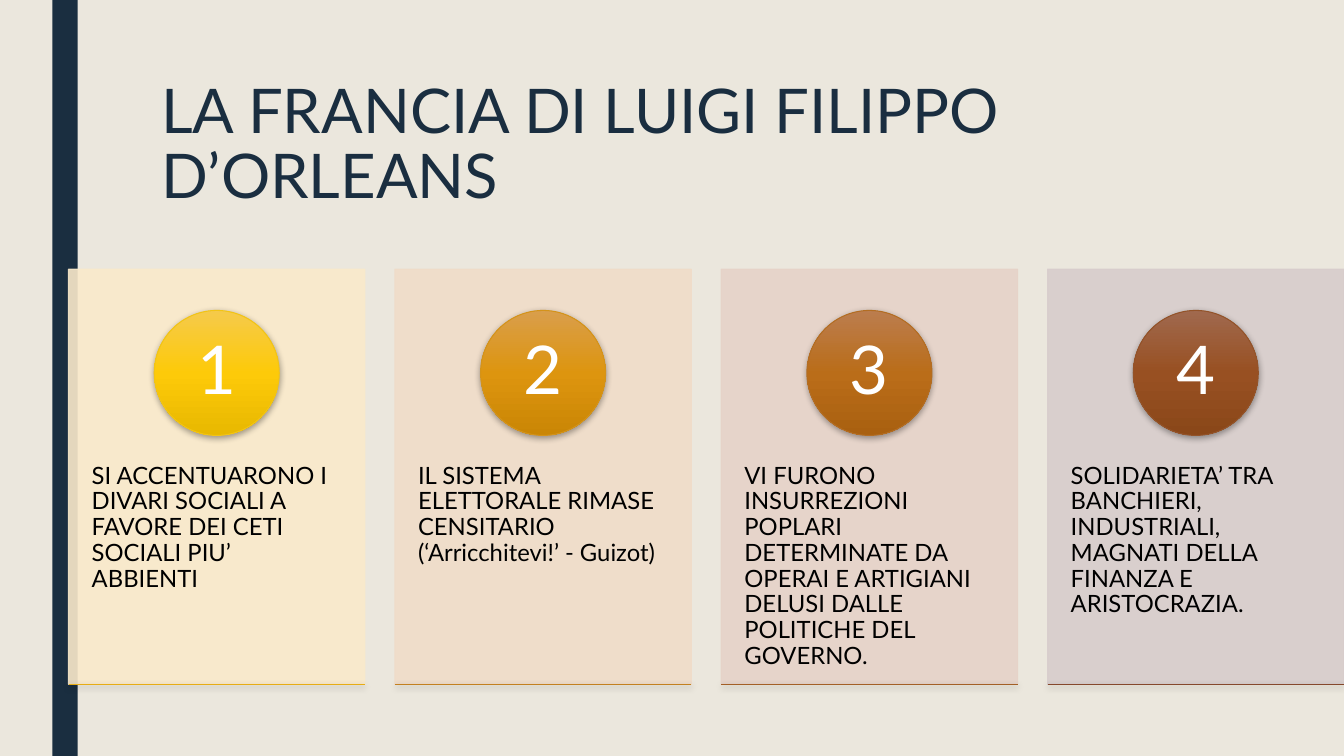
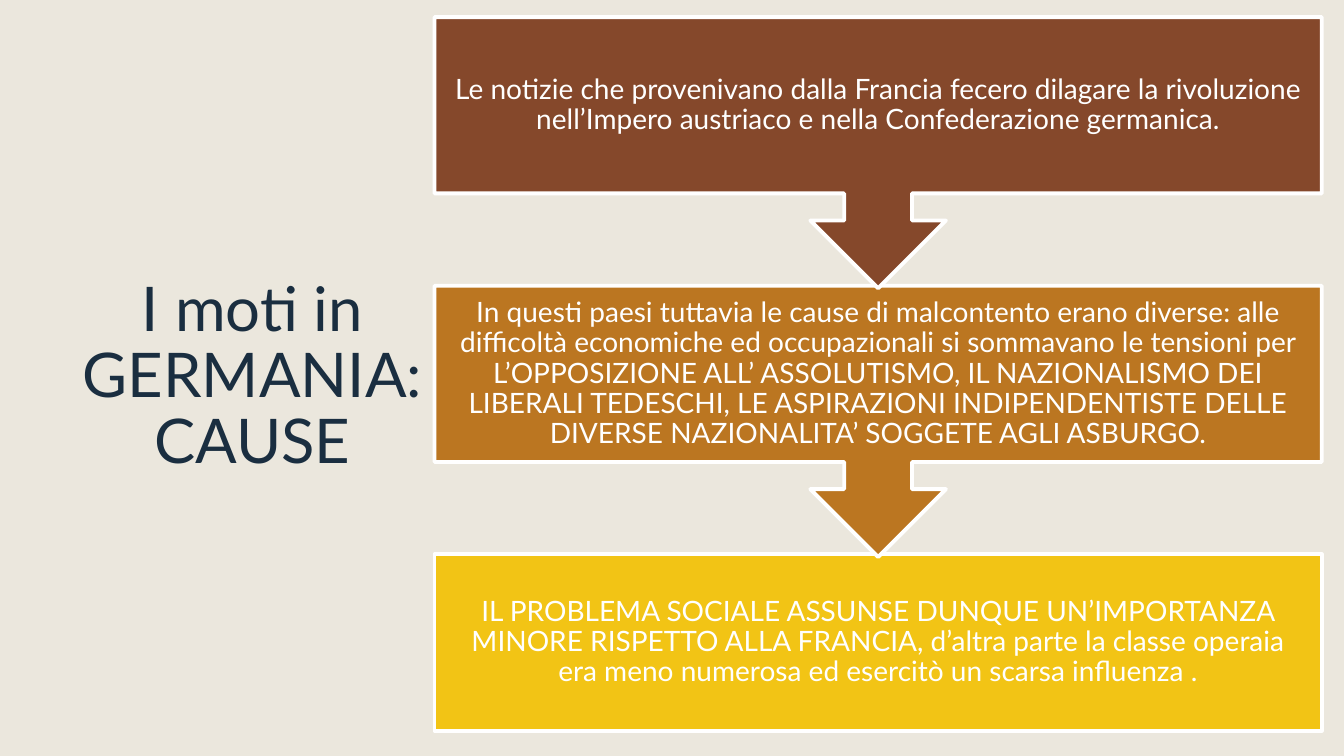
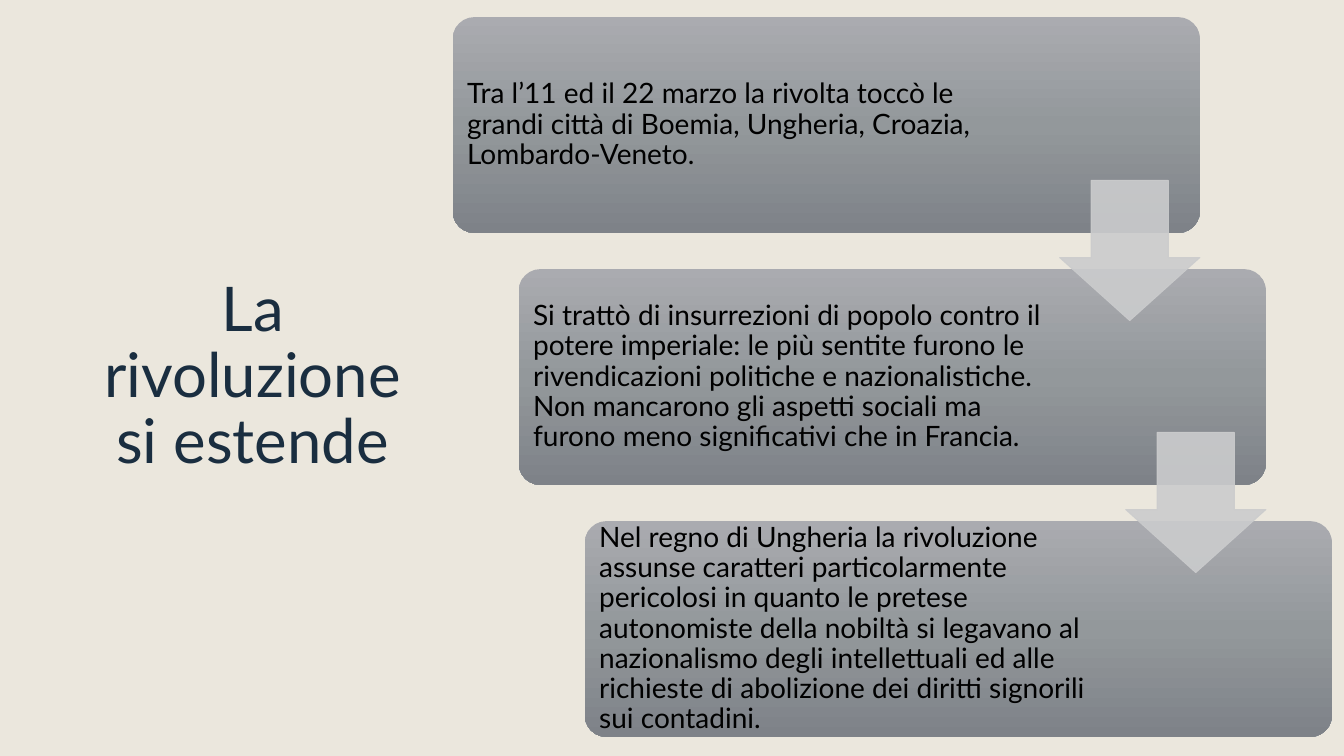
import pptx
import pptx.util
import pptx.dml.color
import pptx.enum.shapes
import pptx.enum.text
import pptx.oxml
import pptx.oxml.ns

SCALE = 9144
WIDE, HIGH = 1333, 750
FONT = "Lato"
SHAPE = pptx.enum.shapes.MSO_SHAPE
ALIGN = pptx.enum.text.PP_ALIGN
ANCHOR = pptx.enum.text.MSO_ANCHOR
HUES = {
    "paper": "EBE7DD", "navy": "1A2E40", "white": "FFFFFF", "black": "000000",
    "brown": "85482B", "ochre": "BB7621", "gold": "F2C415", "arrow": "CBCCCD",
}
STEEL = ("AAABB0", "93989B", "7E8288")
CARDS = [
    ("FAEACB", ("F5CA4B", "FDCA09", "E8B800"), "F2C415", "E7AC14",
     "SI ACCENTUARONO I DIVARI SOCIALI A FAVORE DEI CETI SOCIALI PIU’ ABBIENTI"),
    ("F0DCC8", ("D99E4B", "DD950F", "CA8605"), "D4931A", "C3801F",
     "IL SISTEMA ELETTORALE RIMASE CENSITARIO (‘Arricchitevi!’ - Guizot)"),
    ("E6D3C8", ("BB7D4E", "BA6D19", "A96010"), "B36D22", "A35F26",
     "VI FURONO INSURREZIONI POPLARI DETERMINATE DA OPERAI E ARTIGIANI DELUSI "
     "DALLE POLITICHE DEL GOVERNO."),
    ("D8CDCC", ("A0694E", "985022", "8A4719"), "935329", "85482B",
     "SOLIDARIETA’ TRA BANCHIERI, INDUSTRIALI, MAGNATI DELLA FINANZA E ARISTOCRAZIA."),
]
CAUSES = [
    ("brown", "Le notizie che provenivano dalla Francia fecero dilagare la rivoluzione "
     "nell’Impero austriaco e nella Confederazione germanica."),
    ("ochre", "In questi paesi tuttavia le cause di malcontento erano diverse: alle "
     "difficoltà economiche ed occupazionali si sommavano le tensioni per L’OPPOSIZIONE "
     "ALL’ ASSOLUTISMO, IL NAZIONALISMO DEI LIBERALI TEDESCHI, LE ASPIRAZIONI "
     "INDIPENDENTISTE DELLE DIVERSE NAZIONALITA’ SOGGETE AGLI ASBURGO."),
    ("gold", "IL PROBLEMA SOCIALE ASSUNSE DUNQUE UN’IMPORTANZA MINORE RISPETTO ALLA "
     "FRANCIA, d’altra parte la classe operaia era meno numerosa ed esercitò un scarsa "
     "influenza ."),
]
STEPS = [
    "Tra l’11 ed il 22 marzo la rivolta toccò le grandi città di Boemia, Ungheria, "
    "Croazia, Lombardo-Veneto.",
    "Si trattò di insurrezioni di popolo contro il potere imperiale: le più sentite "
    "furono le rivendicazioni politiche e nazionalistiche. Non mancarono gli aspetti "
    "sociali ma furono meno significativi che in Francia.",
    "Nel regno di Ungheria la rivoluzione assunse caratteri particolarmente pericolosi "
    "in quanto le pretese autonomiste della nobiltà si legavano al nazionalismo degli "
    "intellettuali ed alle richieste di abolizione dei diritti signorili sui contadini.",
]


def px(size):
    """Turn px into EMU."""
    return pptx.util.Emu(round(size * SCALE))


def hue(code):
    """Give the colour for a palette name or a hex string."""
    return pptx.dml.color.RGBColor.from_string(HUES.get(code, code))


def node(text):
    """Read a drawing element that lacks its namespace."""
    head, tail = text.split(">", 1)
    return pptx.oxml.parse_xml(f"{head} {pptx.oxml.ns.nsdecls('a')}>{tail}")


def shade(shape, cast=False):
    """Set the shadow of a shape or a line, or clear it."""
    drop = ('<a:outerShdw blurRad="57150" dist="19050" dir="5400000">'
            '<a:srgbClr val="000000"><a:alpha val="35000"/></a:srgbClr></a:outerShdw>')
    shape._element.spPr.append(node(f"<a:effectLst>{drop if cast else ''}</a:effectLst>"))


def blend(shape, stops):
    """Fill a shape with an even gradient from top to bottom."""
    shape.fill.background()
    part = 100000 // (len(stops) - 1)
    marks = "".join(f'<a:gs pos="{i * part}"><a:srgbClr val="{code}"/></a:gs>'
                    for i, code in enumerate(stops))
    props = shape._element.spPr
    props.replace(props.find(pptx.oxml.ns.qn("a:noFill")), node(
        f'<a:gradFill rotWithShape="1"><a:gsLst>{marks}</a:gsLst>'
        '<a:lin ang="5400000" scaled="0"/></a:gradFill>'))


def draw(slide, kind, box, fill, line=None, width=0.75, adj=(), alpha=None, cast=False):
    """Add a preset shape with its fill, line and shadow."""
    shape = slide.shapes.add_shape(kind, *map(px, box))
    for i, value in enumerate(adj):
        shape.adjustments[i] = value
    if isinstance(fill, tuple):
        blend(shape, fill)
    else:
        shape.fill.solid()
        shape.fill.fore_color.rgb = hue(fill)
    if line:
        shape.line.color.rgb = hue(line)
        shape.line.width = pptx.util.Pt(width)
    else:
        shape.line.fill.background()
    if alpha:
        for tone in shape._element.spPr.iter(pptx.oxml.ns.qn("a:srgbClr")):
            tone.append(node(f'<a:alpha val="{alpha * 1000}"></a:alpha>'))
    shade(shape, cast)
    return shape


def write(shape, text, size=20, tone="black", align=ALIGN.LEFT, anchor=ANCHOR.MIDDLE,
          pad=(10, 5, 10, 5), space=0.9):
    """Put formatted text into a shape."""
    frame = shape.text_frame
    frame.word_wrap = True
    frame.vertical_anchor = anchor
    (frame.margin_left, frame.margin_top,
     frame.margin_right, frame.margin_bottom) = map(px, pad)
    para = frame.paragraphs[0]
    para.alignment = align
    para.line_spacing = space
    run = para.add_run()
    run.text = text
    run.font.size = pptx.util.Pt(size)
    run.font.name = FONT
    run.font.color.rgb = hue(tone)


def page(deck, title, box, **form):
    """Add a slide with its ground and title."""
    slide = deck.slides.add_slide(deck.slide_layouts[6])
    slide.background.fill.solid()
    slide.background.fill.fore_color.rgb = hue("paper")
    label = slide.shapes.add_textbox(*map(px, box))
    write(label, title, size=44, tone="navy", space=0.89, **form)
    return slide


def card(slide, box, rank, data):
    """Draw a numbered card with a rule along its foot."""
    back, ball, rim, rule, text = data
    x, y, w, h = box
    panel = draw(slide, SHAPE.RECTANGLE, box, back, line=back, alpha=90)
    write(panel, text, size=17, anchor=ANCHOR.TOP, pad=(23, 193, 23, 5))
    disc = 124
    badge = draw(slide, SHAPE.OVAL, (x + (w - disc) / 2, y + 41, disc, disc),
                 ball, line=rim, cast=True)
    write(badge, str(rank), size=48, tone="white", align=ALIGN.CENTER, pad=(10, 1, 10, 1))
    foot = slide.shapes.add_connector(pptx.enum.shapes.MSO_CONNECTOR.STRAIGHT,
                                      *map(px, (x, y + h, x + w, y + h)))
    foot.line.color.rgb = hue(rule)
    foot.line.width = pptx.util.Pt(0.75)
    shade(foot, True)


def row(slide, box):
    """Spread the cards evenly over a box."""
    x, y, w, h = box
    wide = 294
    pitch = (w - wide) / (len(CARDS) - 1)
    for i, data in enumerate(CARDS):
        card(slide, (x + i * pitch, y, wide, h), i + 1, data)


def chain(slide, box):
    """Stack the causes in a box, each pointing to the next."""
    x, y, w, h = box
    body, tall = 175, 269
    pitch = (h - body) / (len(CAUSES) - 1)
    for i, (fill, text) in reversed(list(enumerate(CAUSES))):
        last = i == len(CAUSES) - 1
        kind = SHAPE.RECTANGLE if last else SHAPE.DOWN_ARROW_CALLOUT
        shape = draw(slide, kind, (x, y + i * pitch, w, body if last else tall), fill,
                     line="white", width=2.75, adj=() if last else (0.25, 0.25, 0.25, 0.65))
        write(shape, text, tone="white", align=ALIGN.CENTER, pad=(16, 16, 16, 16))


def stair(slide, box):
    """Step the panels down a box and join them with arrows."""
    x, y, w, h = box
    wide, tall, head = 741, 214, 139
    gaps = len(STEPS) - 1
    spots = [(x + i * (w - wide) / gaps, y + i * (h - tall) / gaps)
             for i in range(len(STEPS))]
    for (left, top), text in zip(spots, STEPS):
        panel = draw(slide, SHAPE.ROUNDED_RECTANGLE, (left, top, wide, tall), STEEL, adj=(0.1,))
        write(panel, text, pad=(8, 8, 212, 8))
    for left, top in spots[:-1]:
        draw(slide, SHAPE.DOWN_ARROW, (left + wide - head, top + 162, head, head), "arrow",
             line="arrow", adj=(0.55, 0.45), alpha=90)


def main():
    """Build the deck and save it."""
    deck = pptx.Presentation()
    deck.slide_width, deck.slide_height = px(WIDE), px(HIGH)
    slide = page(deck, "LA FRANCIA DI LUIGI FILIPPO D’ORLEANS", (150, 75, 1050, 162),
                 anchor=ANCHOR.TOP)
    draw(slide, SHAPE.RECTANGLE, (52, 0, 25, HIGH), "navy")
    row(slide, (68, 267, 1265, 412))
    side = (70, 70, 361, 610)
    slide = page(deck, "I moti in GERMANIA: CAUSE", side, align=ALIGN.CENTER)
    chain(slide, (431, 17, 880, 708))
    slide = page(deck, "La rivoluzione si estende", side, align=ALIGN.CENTER)
    stair(slide, (449, 17, 872, 714))
    deck.save("out.pptx")


if __name__ == "__main__":
    main()
